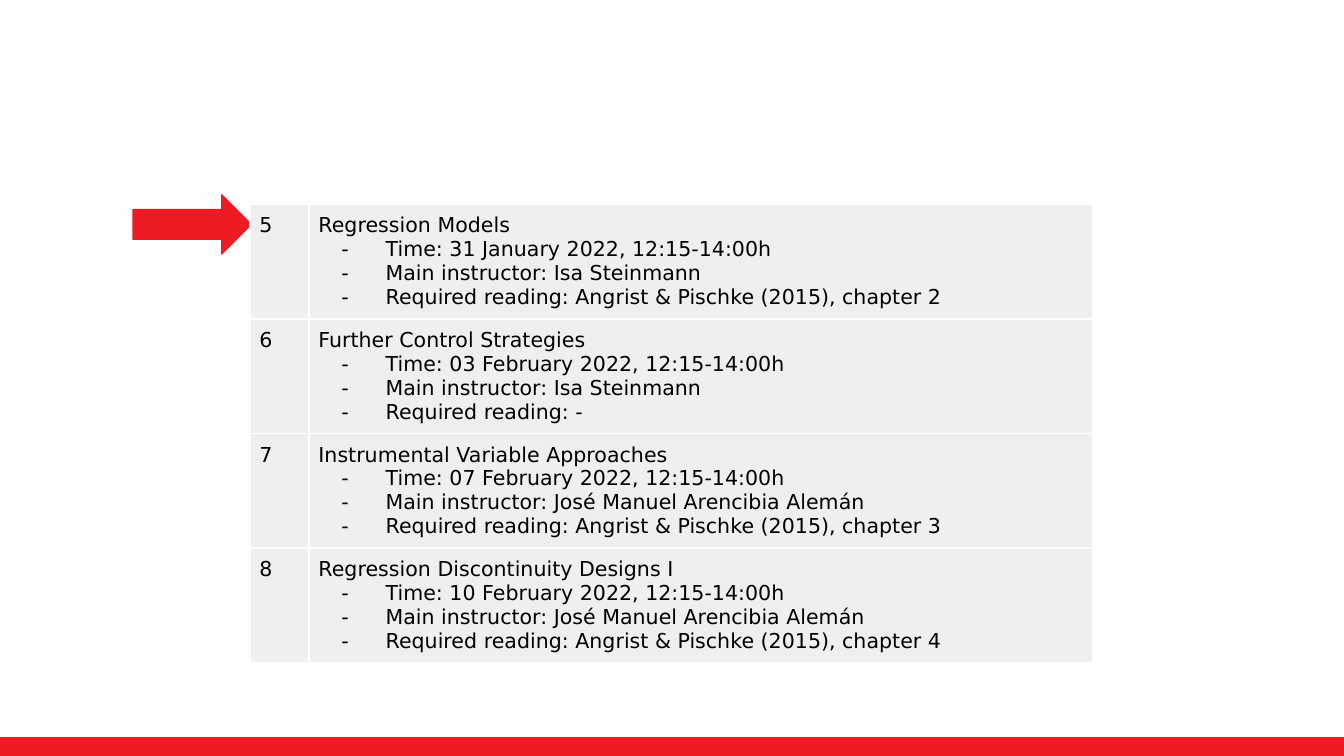
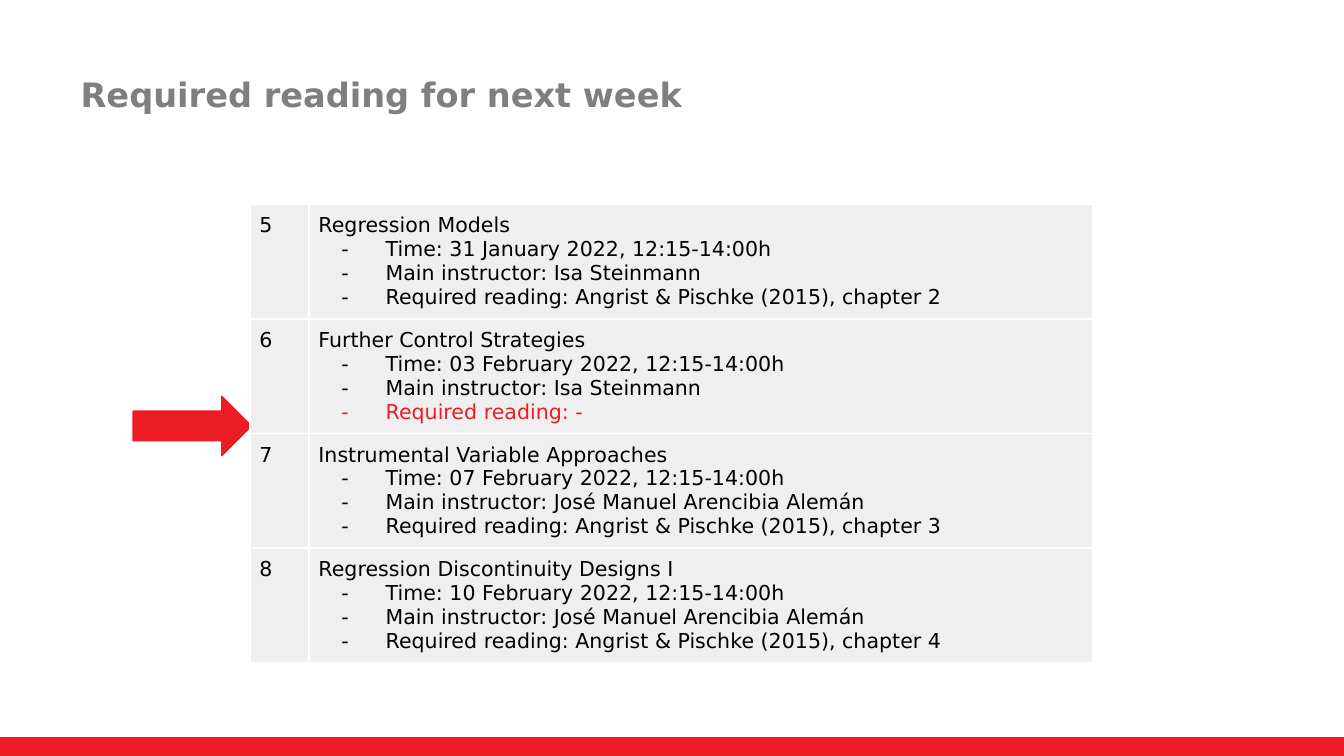
from lxml.etree import SubElement
from pptx import Presentation
from pptx.dml.color import RGBColor
from pptx.enum.shapes import MSO_SHAPE as Shape
from pptx.enum.text import MSO_ANCHOR as Anchor, MSO_AUTO_SIZE as AutoSize, PP_ALIGN as Align
from pptx.oxml.ns import qn
from pptx.util import Inches, Pt

RED, GRAY, BLACK, WHITE, PALE = "ED1C24", "7F7F7F", "000000", "FFFFFF", "EFEFEF"
FONT = "DejaVu Sans"
PAGE_WIDTH = 10
PAGE_HEIGHT = PAGE_WIDTH * 9 / 16
BAND_HEIGHT = 0.14
TITLE_ONLY, BLANK = 5, 6

TABLE_LEFT, TABLE_TOP = 1.86, 1.52
COLUMN_WIDTHS = (0.44, 5.83)
ROW_HEIGHT = 0.85
CELL_MARGIN = 0.07

# Number, topic, day, instructor, reading
SESSIONS = [
    (5, "Regression Models", "31 January", "Isa Steinmann",
     "Angrist & Pischke (2015), chapter 2"),
    (6, "Further Control Strategies", "03 February", "Isa Steinmann", "-"),
    (7, "Instrumental Variable Approaches", "07 February",
     "José Manuel Arencibia Alemán", "Angrist & Pischke (2015), chapter 3"),
    (8, "Regression Discontinuity Designs I", "10 February",
     "José Manuel Arencibia Alemán", "Angrist & Pischke (2015), chapter 4"),
]


def color(value):
    return RGBColor.from_string(value)


def write(para, text, size=11, ink=BLACK, bold=False):
    span = para.add_run()
    span.text = text
    span.font.name = FONT
    span.font.size = Pt(size)
    span.font.bold = bold
    span.font.color.rgb = color(ink)


def add_dash(para, ink):
    """Give the paragraph a hanging dash bullet."""
    props = para._p.get_or_add_pPr()
    props.set("marL", str(Inches(0.5)))
    props.set("indent", str(Inches(-0.33)))
    SubElement(SubElement(props, qn("a:buClr")), qn("a:srgbClr"), val=ink)
    SubElement(props, qn("a:buFont"), typeface=FONT)
    SubElement(props, qn("a:buChar"), char="-")


def style_cell(cell):
    cell.margin_left = cell.margin_right = Inches(CELL_MARGIN)
    cell.margin_top = cell.margin_bottom = Inches(CELL_MARGIN)
    props = cell._tc.get_or_add_tcPr()
    for side in ("lnL", "lnR", "lnT", "lnB"):
        line = SubElement(props, qn(f"a:{side}"), w=str(Pt(1)))
        SubElement(SubElement(line, qn("a:solidFill")), qn("a:srgbClr"), val=WHITE)
    cell.fill.solid()
    cell.fill.fore_color.rgb = color(PALE)


class CourseDeck:
    def __init__(self):
        self.deck = Presentation()
        self.deck.slide_width = Inches(PAGE_WIDTH)
        self.deck.slide_height = Inches(PAGE_HEIGHT)
        self.page = None

    def add_page(self, title=None):
        layout = self.deck.slide_layouts[TITLE_ONLY if title else BLANK]
        self.page = self.deck.slides.add_slide(layout)
        self.add_shape(Shape.RECTANGLE, 0, PAGE_HEIGHT - BAND_HEIGHT, PAGE_WIDTH, BAND_HEIGHT)
        if title:
            self.set_title(title)

    def set_title(self, text):
        box = self.page.shapes.title
        box.left, box.top = Inches(0.5), Inches(0.23)
        box.width, box.height = Inches(7.65), Inches(0.94)
        frame = box.text_frame
        frame.auto_size = AutoSize.NONE
        frame.vertical_anchor = Anchor.MIDDLE
        para = frame.paragraphs[0]
        para.alignment = Align.LEFT
        write(para, text, size=18, ink=GRAY, bold=True)

    def add_shape(self, kind, left, top, width, height, outlined=False):
        shape = self.page.shapes.add_shape(
            kind, Inches(left), Inches(top), Inches(width), Inches(height))
        shape.shadow.inherit = False
        shape.fill.solid()
        shape.fill.fore_color.rgb = color(RED)
        if outlined:
            shape.line.color.rgb = color(RED)
            shape.line.width = Pt(0.75)
        else:
            shape.line.fill.background()

    def add_arrow(self, top):
        self.add_shape(Shape.RIGHT_ARROW, 0.99, top, 0.88, 0.44, outlined=True)

    def add_schedule(self, marked_reading=None):
        """Add the session table, with the reading of one session in red."""
        table = self.page.shapes.add_table(
            len(SESSIONS), len(COLUMN_WIDTHS), Inches(TABLE_LEFT), Inches(TABLE_TOP),
            Inches(sum(COLUMN_WIDTHS)), Inches(ROW_HEIGHT * len(SESSIONS))).table
        table.first_row = table.horz_banding = False
        for column, width in zip(table.columns, COLUMN_WIDTHS):
            column.width = Inches(width)
        for row, (number, topic, day, instructor, reading) in zip(table.rows, SESSIONS):
            row.height = Inches(ROW_HEIGHT)
            number_cell, topic_cell = row.cells
            style_cell(number_cell)
            style_cell(topic_cell)
            write(number_cell.text_frame.paragraphs[0], str(number))
            frame = topic_cell.text_frame
            write(frame.paragraphs[0], topic)
            reading_ink = RED if number == marked_reading else BLACK
            for text, ink in (
                (f"Time: {day} 2022, 12:15-14:00h", BLACK),
                (f"Main instructor: {instructor}", BLACK),
                (f"Required reading: {reading}", reading_ink),
            ):
                para = frame.add_paragraph()
                add_dash(para, ink)
                write(para, text, ink=ink)


def main():
    course = CourseDeck()

    course.add_page()
    course.add_arrow(top=1.45)
    course.add_schedule()

    course.add_page("Required reading for next week")
    course.add_arrow(top=2.95)
    course.add_schedule(marked_reading=6)

    course.deck.save("out.pptx")


if __name__ == "__main__":
    main()
